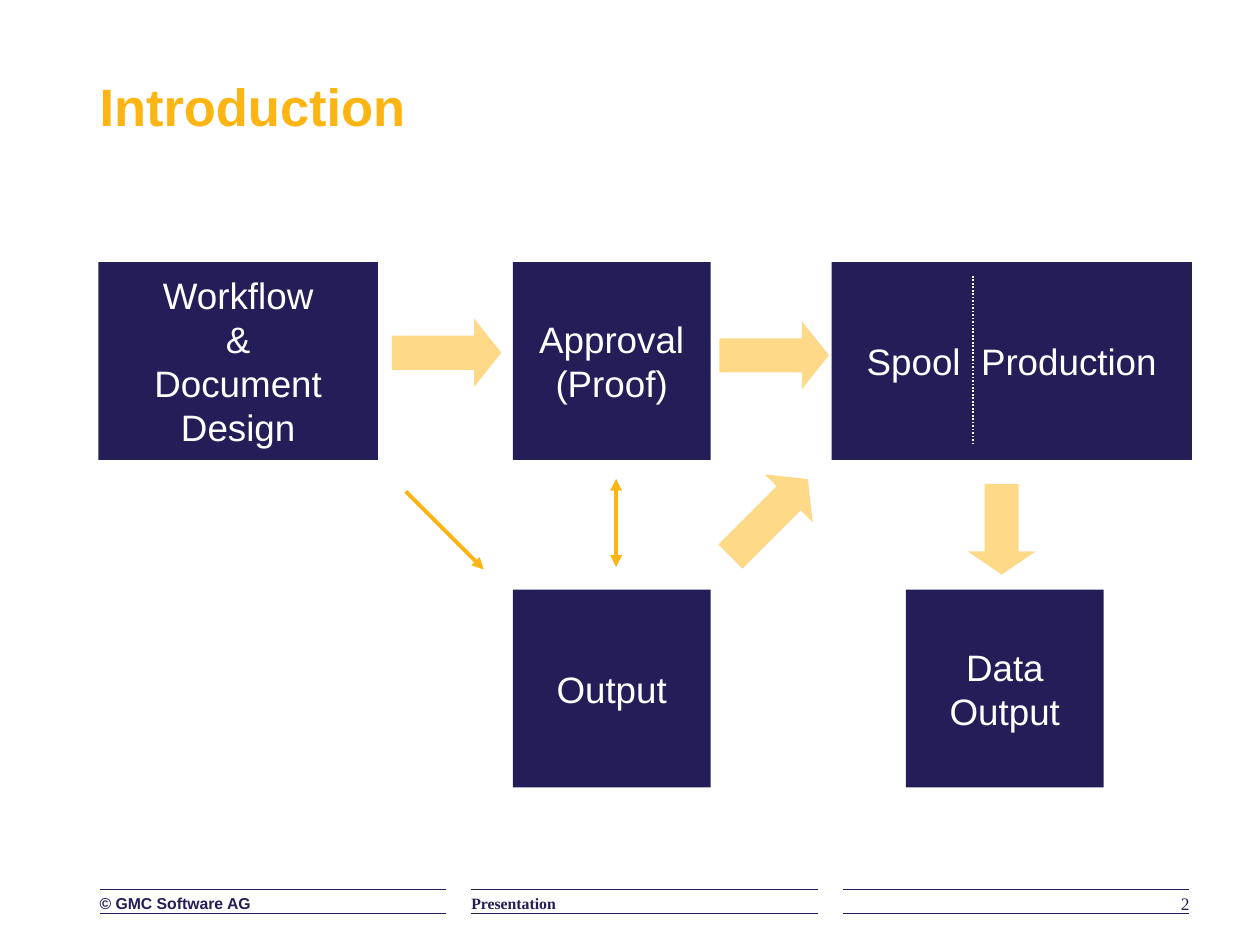
from lxml import etree
from pptx import Presentation
from pptx import util as u
from pptx.dml.color import RGBColor
from pptx.enum import dml, shapes, text
from pptx.oxml.ns import qn

NAVY = RGBColor(0x23, 0x1E, 0x58)
AMBER = RGBColor(0xFD, 0xB5, 0x13)
WHITE = RGBColor(0xFF, 0xFF, 0xFF)
WORD_GAP = "580"


def style_paragraph(paragraph, font_name, size, color, bold=False, align=text.PP_ALIGN.LEFT):
    paragraph.alignment = align
    font = paragraph.font
    font.name, font.size, font.bold = font_name, u.Pt(size), bold
    font.color.rgb = color


def add_label(slide, box, words, anchor=text.MSO_ANCHOR.TOP, **style):
    shape = slide.shapes.add_textbox(*map(u.Inches, box))
    frame = shape.text_frame
    frame.word_wrap = True
    frame.vertical_anchor = anchor
    frame.margin_left = frame.margin_right = frame.margin_top = frame.margin_bottom = 0
    frame.text = words
    style_paragraph(frame.paragraphs[0], **style)


def add_line(slide, start, end, color, width, heads=()):
    line = slide.shapes.add_connector(
        shapes.MSO_CONNECTOR.STRAIGHT, *map(u.Inches, (*start, *end)))
    line.line.color.rgb = color
    line.line.width = u.Pt(width)
    for head in heads:
        etree.SubElement(line.line._get_or_add_ln(), qn(head), type="triangle")
    etree.SubElement(line._element.spPr, qn("a:effectLst"))
    return line


def add_solid(slide, kind, box, color):
    shape = slide.shapes.add_shape(kind, *map(u.Inches, box))
    shape.shadow.inherit = False
    shape.fill.solid()
    shape.fill.fore_color.rgb = color
    shape.line.fill.background()
    return shape


def add_stage(slide, box, lines):
    shape = add_solid(slide, shapes.MSO_SHAPE.RECTANGLE, box, NAVY)
    frame = shape.text_frame
    frame.word_wrap = False
    frame.vertical_anchor = text.MSO_ANCHOR.MIDDLE
    frame.text = "\n".join(lines)
    for paragraph in frame.paragraphs:
        style_paragraph(paragraph, "Arial", 21, WHITE, align=text.PP_ALIGN.CENTER)
    return shape


def add_split_stage(slide, box, words):
    left, top, width, height = box
    shape = add_stage(slide, box, [""])
    paragraph = shape.text_frame.paragraphs[0]
    for part in (words[0], " ", words[1]):
        run = paragraph.add_run()
        run.text = part
        if part == " ":
            run._r.get_or_add_rPr().set("spc", WORD_GAP)
    divider_x = left + 1.12
    divider = add_line(slide, (divider_x, top + 0.11), (divider_x, top + height - 0.11), WHITE, 1)
    divider.line.dash_style = dml.MSO_LINE.ROUND_DOT


def add_block_arrow(slide, box, head, rotation=0):
    arrow = add_solid(slide, shapes.MSO_SHAPE.RIGHT_ARROW, box, AMBER)
    arrow.adjustments[1] = head
    arrow.rotation = rotation
    color = arrow._element.spPr.find(qn("a:solidFill"))[0]
    etree.SubElement(color, qn("a:alpha"), val="50000")


def add_workflow(slide, box):
    left, top, width, height = box
    side = 1.57
    middle = left + 3.29
    lower = top + height - side
    add_stage(slide, (left, top, 2.22, side), ["Workflow", "&", "Document", "Design"])
    add_stage(slide, (middle, top, side, side), ["Approval", "(Proof)"])
    add_stage(slide, (middle, lower, side, side), ["Output"])
    add_stage(slide, (left + 6.41, lower, side, side), ["Data", "Output"])
    add_split_stage(slide, (left + width - 2.86, top, 2.86, side), ["Spool", "Production"])

    for x, y, length, head, rotation in (
        (2.33, 0.45, 0.87, 0.4, 0),
        (4.93, 0.47, 0.87, 0.4, 0),
        (4.89, 1.76, 0.87, 0.4, 315),
        (6.81, 1.85, 0.72, 0.34, 90),
    ):
        add_block_arrow(slide, (left + x, top + y, length, 0.54), head, rotation)

    add_line(slide, (left + 2.44, top + 1.82), (left + 3.06, top + 2.44),
             AMBER, 2.25, ["a:tailEnd"])
    add_line(slide, (left + 4.11, top + 1.72), (left + 4.11, top + 2.42),
             AMBER, 2.25, ["a:headEnd", "a:tailEnd"])


def add_footer(slide, box):
    left, top, width, height = box
    gap = 0.2
    column = (width - 2 * gap) / 3
    cells = (
        ("© GMC Software AG", "Arial", 9, True, text.PP_ALIGN.LEFT),
        ("Presentation", "Times New Roman", 9, True, text.PP_ALIGN.LEFT),
        ("2", "Times New Roman", 10, False, text.PP_ALIGN.RIGHT),
    )
    for index, (words, font_name, size, bold, align) in enumerate(cells):
        x = left + index * (column + gap)
        for y in (top, top + height):
            add_line(slide, (x, y), (x + column, y), NAVY, 0.5)
        add_label(slide, (x, top + 0.03, column, 0.2), words, font_name=font_name,
                  size=size, color=NAVY, bold=bold, align=align)


def main():
    presentation = Presentation()
    presentation.slide_width = u.Inches(10)
    presentation.slide_height = u.Inches(7.5)
    slide = presentation.slides.add_slide(presentation.slide_layouts[6])
    add_label(slide, (0.79, 0.58, 6.73, 0.51), "Introduction", text.MSO_ANCHOR.BOTTOM,
              font_name="Arial", size=30, color=AMBER, bold=True)
    add_workflow(slide, (0.78, 2.08, 8.68, 4.17))
    add_footer(slide, (0.79, 7.06, 8.65, 0.19))
    presentation.save("out.pptx")


if __name__ == "__main__":
    main()
